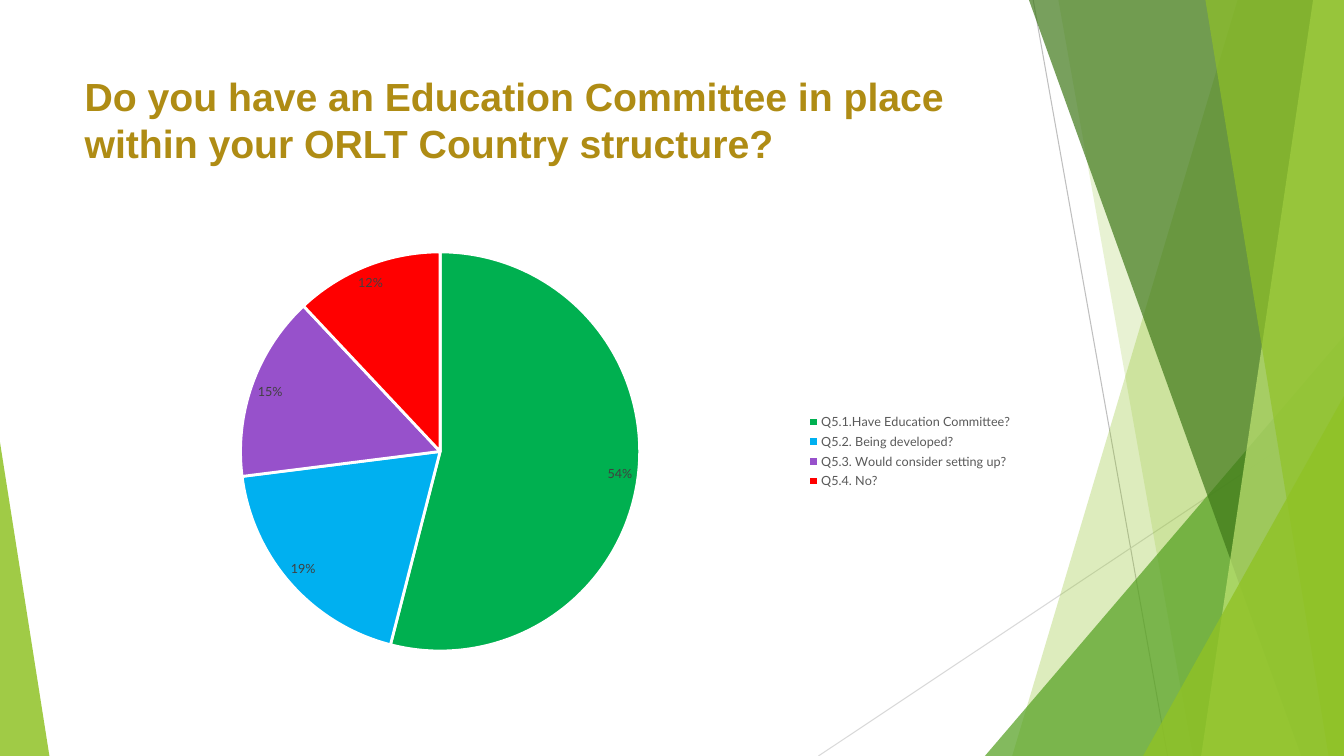
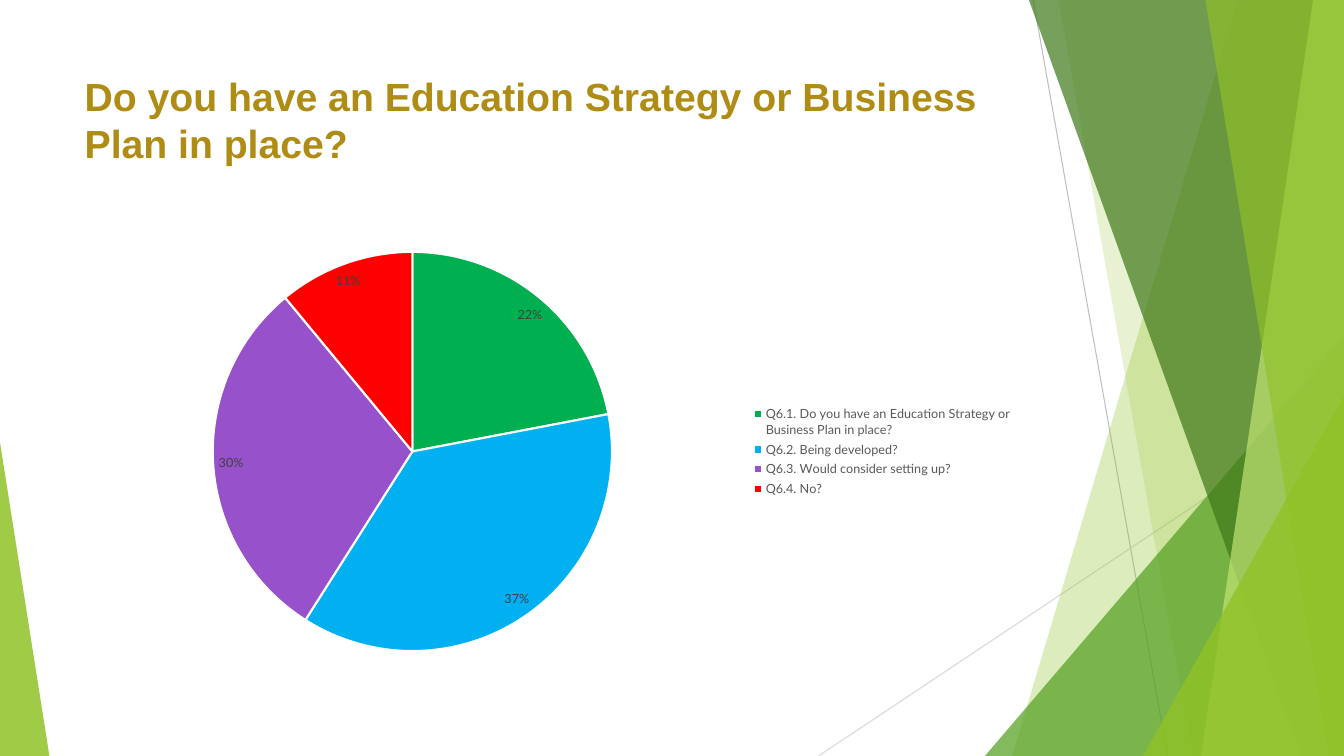
"""Build two survey slides, each a title and a pie chart on a faceted green backdrop."""
import lxml.etree
import pptx
import pptx.chart.data
import pptx.dml.color
import pptx.enum.chart
import pptx.enum.shapes
import pptx.enum.text
import pptx.oxml.ns
import pptx.util

Pt = pptx.util.Pt
RGBColor = pptx.dml.color.RGBColor

WIDTH, HEIGHT = 960, 540
WHITE = RGBColor(0xFF, 0xFF, 0xFF)
LIME = RGBColor(0x90, 0xC2, 0x26)
PALE_LIME = RGBColor(0xC0, 0xE4, 0x74)
LEAF = RGBColor(0x54, 0xA0, 0x21)
FOREST = RGBColor(0x3F, 0x78, 0x19)
MID_GREY = RGBColor(0xBF, 0xBF, 0xBF)
LIGHT_GREY = RGBColor(0xD9, 0xD9, 0xD9)
GOLD = RGBColor(0xAF, 0x8C, 0x14)
BLACK = RGBColor(0, 0, 0)
LEGEND_GREY = RGBColor(0x59, 0x59, 0x59)
LABEL_GREY = RGBColor(0x40, 0x40, 0x40)
SLICE_COLOURS = (
    RGBColor(0x00, 0xB0, 0x50),
    RGBColor(0x00, 0xB0, 0xF0),
    RGBColor(0x97, 0x51, 0xCB),
    RGBColor(0xFF, 0x00, 0x00),
)

TITLE_FONT = {"name": "Arial", "size": Pt(28), "bold": True}
CHART_FONT = {"name": "Lato", "size": Pt(10)}
SMALL_FONT = {"name": "Lato", "size": Pt(9)}
TITLE_BOX = {"left": Pt(53.3), "top": Pt(48), "width": Pt(677), "height": Pt(104)}
CHART_BOX = (Pt(53.3), Pt(170), Pt(677), Pt(305))

SURVEY = (
    {
        "title": "Do you have an Education Committee in place within your ORLT Country structure?",
        "answers": {
            "Q5.1.Have Education Committee?": 0.54,
            "Q5.2. Being developed?": 0.19,
            "Q5.3. Would consider setting up?": 0.15,
            "Q5.4. No?": 0.12,
        },
        "border": 2,
    },
    {
        "title": "Do you have an Education Strategy or Business Plan in place?",
        "answers": {
            "Q6.1. Do you have an Education Strategy or Business Plan in place?": 0.22,
            "Q6.2. Being developed?": 0.37,
            "Q6.3. Would consider setting up?": 0.3,
            "Q6.4. No?": 0.11,
        },
        "border": 1.5,
    },
)


def set_values(target, values):
    """Set each named attribute of the target."""
    for name, value in values.items():
        setattr(target, name, value)


def format_font(font, values, colour):
    """Apply the format values and a colour to a font."""
    set_values(font, values)
    font.color.rgb = colour


def paint(shape, colour, opacity):
    """Fill a shape with a translucent colour, without outline or shadow."""
    shape.shadow.inherit = False
    shape.line.fill.background()
    shape.fill.solid()
    shape.fill.fore_color.rgb = colour
    colour_element = shape.element.spPr.find(".//" + pptx.oxml.ns.qn("a:srgbClr"))
    alpha = lxml.etree.SubElement(colour_element, pptx.oxml.ns.qn("a:alpha"))
    alpha.set("val", str(opacity * 1000))


def add_line(slide, start, end, colour):
    """Add a thin straight line."""
    line = slide.shapes.add_connector(
        pptx.enum.shapes.MSO_CONNECTOR.STRAIGHT, *map(Pt, start + end)
    )
    line.line.color.rgb = colour
    line.line.width = Pt(0.75)
    lxml.etree.SubElement(line.element.spPr, pptx.oxml.ns.qn("a:effectLst"))
    return line


def add_band(slide, top_left, bottom_left, colour, opacity):
    """Add a full-height band with a slanted left side, reaching the right edge."""
    corners = ((WIDTH, 0), (WIDTH, HEIGHT), (bottom_left, HEIGHT))
    builder = slide.shapes.build_freeform(Pt(top_left), 0)
    builder.add_line_segments([(Pt(x), Pt(y)) for x, y in corners])
    band = builder.convert_to_shape()
    paint(band, colour, opacity)
    return band


def add_wedge(slide, left, top, width, apex, colour, opacity):
    """Add a triangle standing on the bottom edge, its apex at a share of its width."""
    wedge = slide.shapes.add_shape(
        pptx.enum.shapes.MSO_SHAPE.ISOSCELES_TRIANGLE,
        Pt(left), Pt(top), Pt(width), Pt(HEIGHT - top),
    )
    wedge.adjustments[0] = apex
    paint(wedge, colour, opacity)
    return wedge


def add_backdrop(slide):
    """Draw the facets and move them to the layout that all slides share."""
    facets = (
        add_line(slide, (738, 0), (834, HEIGHT), MID_GREY),
        add_line(slide, (WIDTH, 290), (584.6, HEIGHT), LIGHT_GREY),
        add_band(slide, 884, 723, LIME, 30),
        add_band(slide, 756, 852, LIME, 20),
        add_wedge(slide, 703.5, 240, 256.5, 1, LEAF, 72),
        add_band(slide, 735, 929.5, FOREST, 70),
        add_band(slide, 938, 858, PALE_LIME, 70),
        add_band(slide, 861, 949, LIME, 65),
        add_wedge(slide, 816.5, 283, 143.5, 1, LIME, 80),
        add_wedge(slide, 0, 316, 35.3, 0, LIME, 85),
    )
    for facet in facets:
        slide.slide_layout.shapes.element.append(facet.element)


def add_title(slide, text):
    """Place and format the slide title."""
    title = slide.shapes.title
    set_values(title, TITLE_BOX)
    frame = title.text_frame
    frame.text = text
    set_values(frame, {
        "word_wrap": True,
        "auto_size": pptx.enum.text.MSO_AUTO_SIZE.NONE,
        "vertical_anchor": pptx.enum.text.MSO_ANCHOR.TOP,
    })
    paragraph = frame.paragraphs[0]
    paragraph.alignment = pptx.enum.text.PP_ALIGN.LEFT
    format_font(paragraph.runs[0].font, TITLE_FONT, GOLD)


def add_pie(slide, answers, border):
    """Add a pie chart of the answers with percentage labels and a legend."""
    data = pptx.chart.data.CategoryChartData(number_format="0%")
    data.categories = list(answers)
    data.add_series("Series 1", list(answers.values()))
    chart = slide.shapes.add_chart(
        pptx.enum.chart.XL_CHART_TYPE.PIE, *CHART_BOX, data
    ).chart
    set_values(chart, {"has_title": False, "has_legend": True})
    format_font(chart.font, CHART_FONT, BLACK)
    set_values(chart.legend, {
        "position": pptx.enum.chart.XL_LEGEND_POSITION.RIGHT,
        "include_in_layout": False,
    })
    format_font(chart.legend.font, SMALL_FONT, LEGEND_GREY)
    plot = chart.plots[0]
    plot.vary_by_categories = True
    series = plot.series[0]
    for index, colour in enumerate(SLICE_COLOURS):
        point_format = series.points[index].format
        point_format.fill.solid()
        point_format.fill.fore_color.rgb = colour
        point_format.line.color.rgb = WHITE
        point_format.line.width = Pt(border)
    labels = series.data_labels
    set_values(labels, {
        "show_value": True,
        "number_format": "0%",
        "number_format_is_linked": False,
        "position": pptx.enum.chart.XL_LABEL_POSITION.BEST_FIT,
    })
    format_font(labels.font, SMALL_FONT, LABEL_GREY)


def main():
    """Build and save the presentation."""
    presentation = pptx.Presentation()
    set_values(presentation, {"slide_width": Pt(WIDTH), "slide_height": Pt(HEIGHT)})
    title_only = presentation.slide_layouts[5]
    for question in SURVEY:
        slide = presentation.slides.add_slide(title_only)
        add_title(slide, question["title"])
        add_pie(slide, question["answers"], question["border"])
    add_backdrop(slide)
    presentation.save("out.pptx")


if __name__ == "__main__":
    main()
